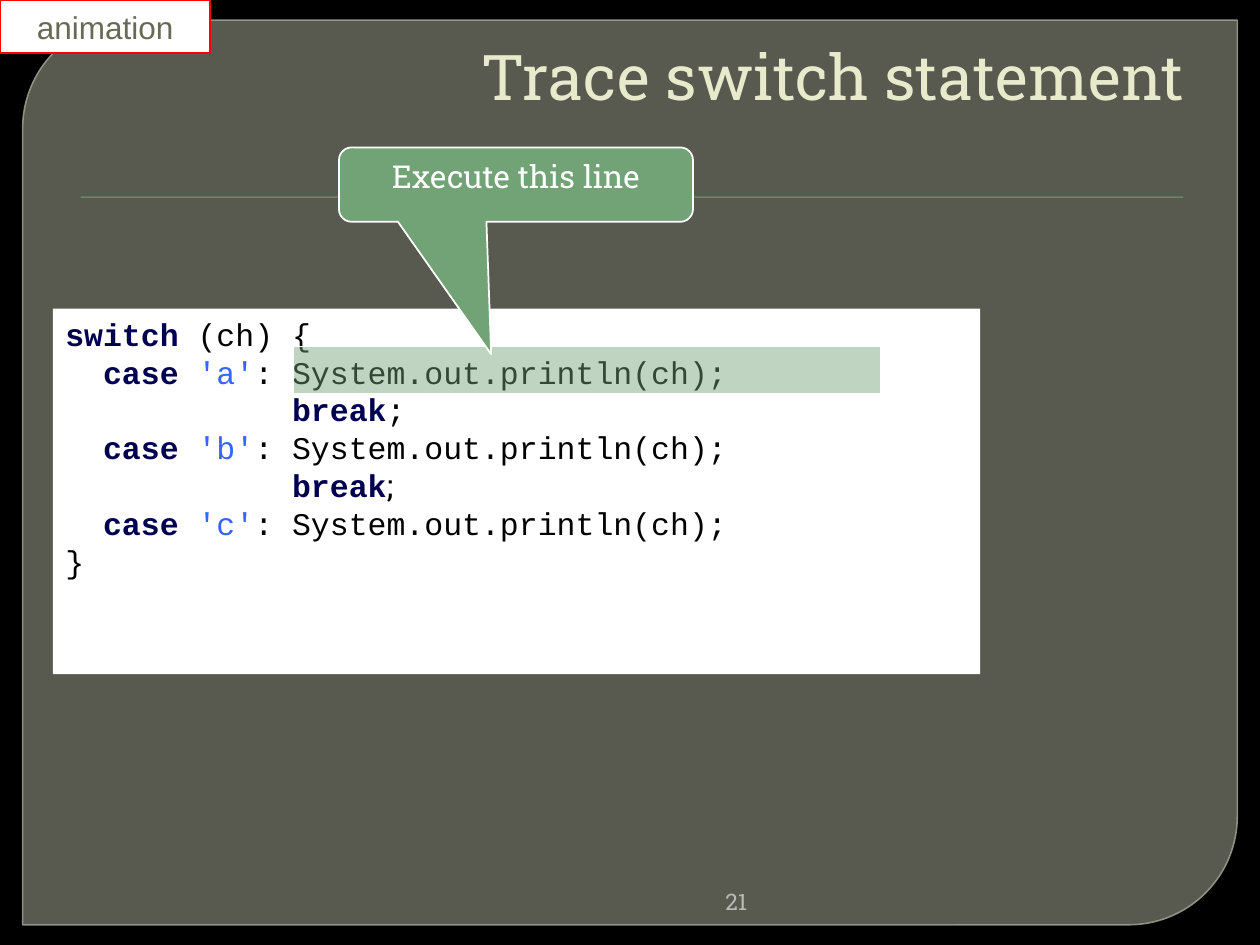
from dataclasses import dataclass
from typing import Optional

import lxml.etree
import pptx
import pptx.dml.color
import pptx.enum.shapes
import pptx.enum.text
import pptx.oxml.ns
import pptx.util

Inches = pptx.util.Inches
Pt = pptx.util.Pt
Geometry = pptx.enum.shapes.MSO_SHAPE
Align = pptx.enum.text.PP_ALIGN
Anchor = pptx.enum.text.MSO_ANCHOR


@dataclass(frozen=True)
class Theme:
    black: str = "000000"
    white: str = "FFFFFF"
    panel: str = "888B7B"
    panel_edge: str = "9DA090"
    green: str = "72A376"
    red: str = "FF0000"
    title: str = "E7EACB"
    number: str = "B9BBB2"
    tag: str = "676A55"
    keyword: str = "000050"
    literal: str = "3366FF"
    slab: str = "Roboto Slab"
    mono: str = "Courier New"
    sans: str = "Arial"
    title_size: float = 36
    body_size: float = 18
    number_size: float = 13
    code_leading: float = 21.6
    code_column: float = 0.15


@dataclass(frozen=True)
class Box:
    at: tuple[float, float, float, float]
    fill: str
    geometry: Geometry = Geometry.RECTANGLE
    opacity: int = 100
    line: Optional[str] = None
    line_width: float = 1
    line_opacity: int = 100
    adjustments: tuple[float, ...] = ()


@dataclass(frozen=True)
class Token:
    text: str
    color: str
    bold: bool = False
    font: str = Theme.mono


@dataclass(frozen=True)
class CodeLine:
    columns: int
    tokens: tuple[Token, ...]


THEME = Theme()


def set_opacity(fill, color: str, percent: int) -> None:
    fill.solid()
    fill.fore_color.rgb = pptx.dml.color.RGBColor.from_string(color)
    if percent < 100:
        rgb = fill._xPr.find(".//" + pptx.oxml.ns.qn("a:srgbClr"))
        alpha = lxml.etree.SubElement(rgb, pptx.oxml.ns.qn("a:alpha"))
        alpha.set("val", str(percent * 1000))


def draw_box(slide, box: Box):
    shape = slide.shapes.add_shape(box.geometry, *map(Inches, box.at))
    shape.shadow.inherit = False
    for index, value in enumerate(box.adjustments):
        shape.adjustments[index] = value
    set_opacity(shape.fill, box.fill, box.opacity)
    if box.line:
        set_opacity(shape.line.fill, box.line, box.line_opacity)
        shape.line.width = Pt(box.line_width)
    else:
        shape.line.fill.background()
    return shape


def add_text(paragraph, text: str, *, color: str, font: str = THEME.slab,
             size: float = THEME.body_size, bold: bool = False,
             align: Align = Align.LEFT) -> None:
    paragraph.alignment = align
    run = paragraph.add_run()
    run.text = text
    run.font.name = font
    run.font.size = Pt(size)
    run.font.bold = bold
    run.font.color.rgb = pptx.dml.color.RGBColor.from_string(color)


def prepare_frame(shape, anchor: Anchor = Anchor.TOP, wrap: bool = True):
    frame = shape.text_frame
    frame.word_wrap = wrap
    frame.auto_size = pptx.enum.text.MSO_AUTO_SIZE.NONE
    frame.vertical_anchor = anchor
    return frame


def case_line(letter: str) -> CodeLine:
    return CodeLine(2, (Token("case ", THEME.keyword, True),
                        Token(f"'{letter}'", THEME.literal),
                        Token(": System.out.println(ch);", THEME.black)))


def break_line(semicolon_font: str) -> CodeLine:
    return CodeLine(12, (Token("break", THEME.keyword, True),
                         Token(";", THEME.black, font=semicolon_font)))


def write_code(frame, lines: tuple[CodeLine, ...]) -> None:
    for index, line in enumerate(lines):
        paragraph = frame.paragraphs[0] if index == 0 else frame.add_paragraph()
        paragraph.line_spacing = Pt(THEME.code_leading)
        indent = Inches(line.columns * THEME.code_column)
        paragraph._p.get_or_add_pPr().set("marL", str(indent))
        for token in line.tokens:
            add_text(paragraph, token.text, color=token.color,
                     font=token.font, bold=token.bold)


PANEL = Box((0.18, 0.16, 9.64, 7.18), THEME.panel, Geometry.ROUND_2_DIAG_RECTANGLE,
            opacity=65, line=THEME.panel_edge, line_width=0.87, line_opacity=88,
            adjustments=(0.12, 0))
RULE = Box((0.64, 1.56, 8.75, 0.01), THEME.green)
LISTING = Box((0.42, 2.45, 7.36, 2.9), THEME.white)
HIGHLIGHT = Box((2.33, 2.75, 4.66, 0.38), THEME.green, opacity=45, line=THEME.white)
CALLOUT = Box((2.69, 1.17, 2.81, 0.59), THEME.green,
              Geometry.ROUNDED_RECTANGULAR_CALLOUT, line=THEME.white,
              adjustments=(-0.07, 2.28, 0.17))
TAG = Box((0, 0, 1.67, 0.42), THEME.white, line=THEME.red)

CODE = (
    CodeLine(0, (Token("switch", THEME.keyword, True), Token(" (ch) {", THEME.black))),
    case_line("a"),
    break_line(THEME.mono),
    case_line("b"),
    break_line(THEME.slab),
    case_line("c"),
    CodeLine(0, (Token("}", THEME.black),)),
)


def build() -> None:
    deck = pptx.Presentation()
    deck.slide_width, deck.slide_height = Inches(10), Inches(7.5)
    slide = deck.slides.add_slide(deck.slide_layouts[5])
    set_opacity(slide.background.fill, THEME.black, 100)

    draw_box(slide, PANEL)
    draw_box(slide, RULE)

    number = slide.shapes.add_textbox(*map(Inches, (1.42, 7, 4.61, 0.3)))
    add_text(prepare_frame(number).paragraphs[0], "21", color=THEME.number,
             size=THEME.number_size, align=Align.RIGHT)

    title = slide.shapes.title
    title.left, title.top, title.width, title.height = map(Inches, (0.75, 0.35, 8.75, 0.55))
    heading = prepare_frame(title, Anchor.BOTTOM)
    heading.margin_bottom = 0
    add_text(heading.paragraphs[0], "Trace switch statement", color=THEME.title,
             size=THEME.title_size, align=Align.RIGHT)
    slide.shapes._spTree.append(title._element)

    write_code(prepare_frame(draw_box(slide, LISTING)), CODE)
    draw_box(slide, HIGHLIGHT)

    callout = prepare_frame(draw_box(slide, CALLOUT))
    add_text(callout.paragraphs[0], "Execute this line", color=THEME.white,
             align=Align.CENTER)

    tag = prepare_frame(draw_box(slide, TAG), Anchor.MIDDLE, wrap=False)
    add_text(tag.paragraphs[0], "animation", color=THEME.tag, font=THEME.sans,
             align=Align.CENTER)

    deck.save("out.pptx")


build()
